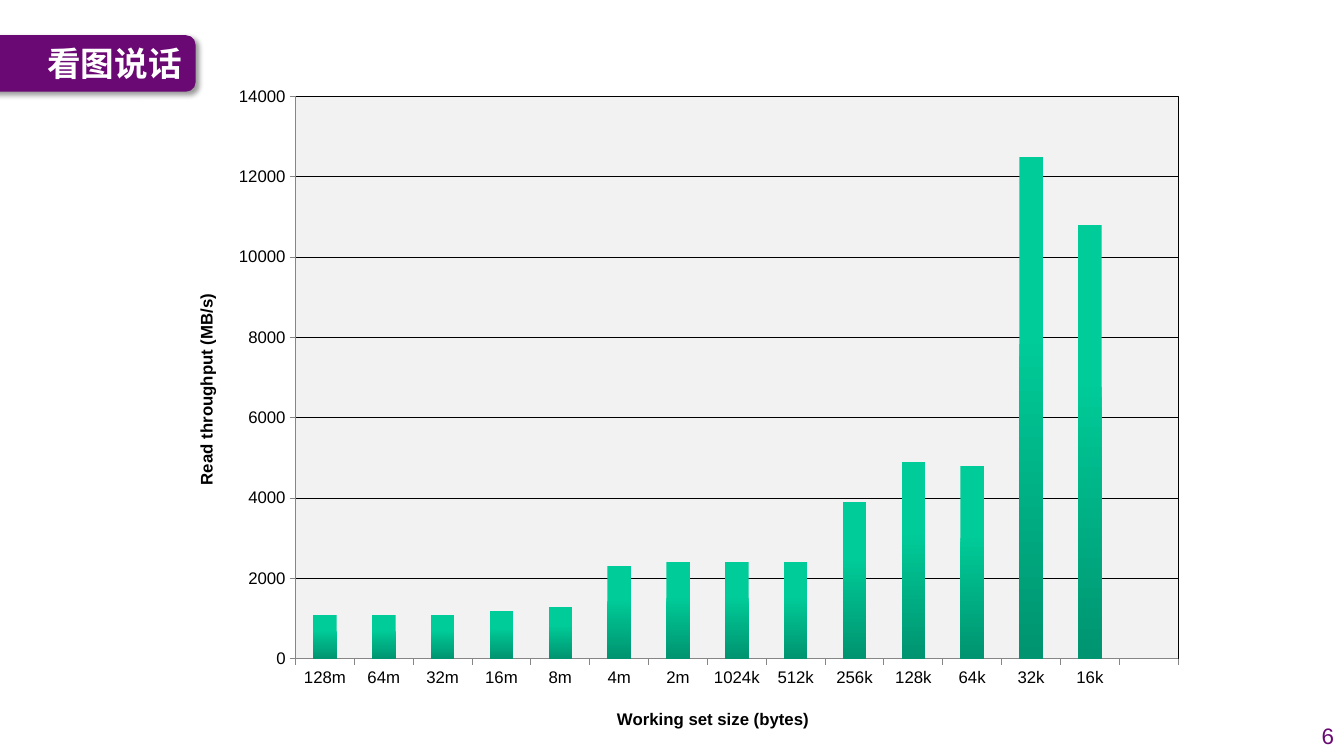
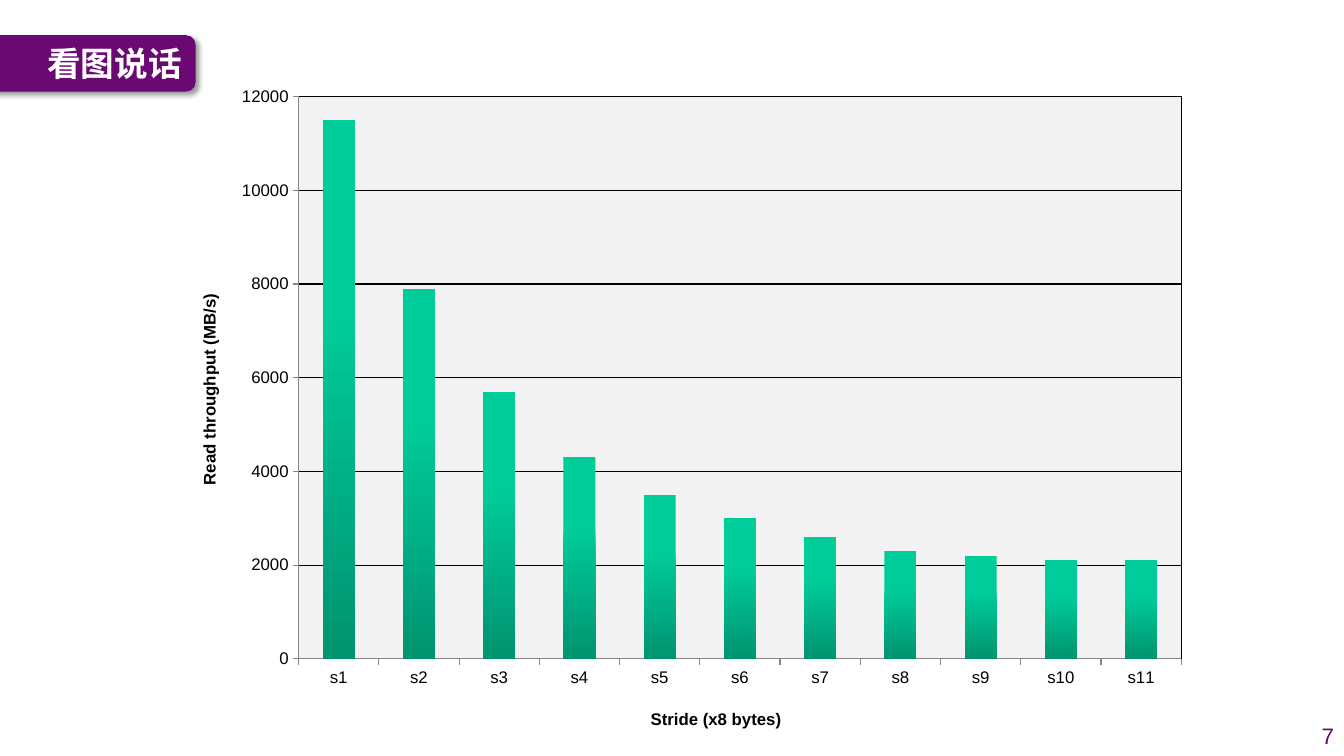
from dataclasses import dataclass

from pptx import Presentation
from pptx.chart.data import CategoryChartData
from pptx.dml.color import RGBColor as RGB
from pptx.enum.chart import XL_CHART_TYPE as ChartType, XL_TICK_MARK as Tick
from pptx.enum.shapes import MSO_SHAPE as Shape
from pptx.enum.text import MSO_ANCHOR as Anchor, PP_ALIGN as Align
from pptx.oxml import parse_xml
from pptx.oxml.ns import nsdecls, qn
from pptx.util import Inches, Pt


@dataclass(frozen=True)
class Theme:
    purple: RGB = RGB(0x6A, 0x08, 0x74)
    white: RGB = RGB(0xFF, 0xFF, 0xFF)
    black: RGB = RGB(0, 0, 0)
    axis: RGB = RGB(0x86, 0x86, 0x86)
    bar_top: RGB = RGB(0x00, 0xCC, 0x99)
    bar_base: RGB = RGB(0x00, 0x94, 0x70)
    font: str = "Arial"
    title_font: str = "Noto Sans CJK SC"
    title_size: Pt = Pt(24)
    number_size: Pt = Pt(16)
    chart_size: Pt = Pt(12)
    line: Pt = Pt(0.75)


T = Theme()
TITLE = "看图说话"
VALUE_TITLE = "Read throughput (MB/s)"

SHADOW = f"""<a:effectLst {nsdecls('a')}>
  <a:outerShdw blurRad="50800" dist="38100" dir="2700000" algn="tl" rotWithShape="0">
    <a:srgbClr val="000000"><a:alpha val="40000"/></a:srgbClr>
  </a:outerShdw></a:effectLst>"""

PLOT_FORMAT = f"""<c:spPr {nsdecls('c', 'a')}>
  <a:solidFill><a:srgbClr val="F2F2F2"/></a:solidFill>
  <a:ln w="9525"><a:solidFill><a:srgbClr val="000000"/></a:solidFill></a:ln>
</c:spPr>"""


def add_text(s, box, text, font, size, color, bold=False, align=Align.LEFT):
    tf = s.shapes.add_textbox(*map(Inches, box)).text_frame
    tf.word_wrap = True
    tf.vertical_anchor = Anchor.MIDDLE
    p = tf.paragraphs[0]
    p.text = text
    p.alignment = align
    r = p.runs[0]
    r.font.name, r.font.size, r.font.bold = font, size, bold
    r.font.color.rgb = color
    # East Asian typeface
    r.font._element.append(parse_xml(f'<a:ea {nsdecls("a")} typeface="{font}"/>'))


def add_title_tab(s, left, top):
    # Tab with its left end beyond the slide edge
    sp = s.shapes.add_shape(Shape.ROUNDED_RECTANGLE, Inches(left - 0.2),
                            Inches(top), Inches(2.14), Inches(0.56))
    sp.fill.solid()
    sp.fill.fore_color.rgb = T.purple
    sp.line.fill.background()
    sp._element.spPr.append(parse_xml(SHADOW))
    add_text(s, (left + 0.37, top, 1.6, 0.55), TITLE, T.title_font,
             T.title_size, T.white, bold=True)


def set_layout(parent, index, x, y, size=None):
    """Give a chart part a fixed place, in fractions of the chart."""
    old = parent.find(qn("c:layout"))
    if old is not None:
        parent.remove(old)
    parts = [("xMode", "edge"), ("yMode", "edge"), ("x", x), ("y", y)]
    if size:
        parts.insert(0, ("layoutTarget", "inner"))
        parts += zip("wh", size)
    body = "".join(f'<c:{tag} val="{val}"/>' for tag, val in parts)
    parent.insert(index, parse_xml(
        f'<c:layout {nsdecls("c")}><c:manualLayout>{body}</c:manualLayout></c:layout>'))


def format_axis(axis, title, x, y):
    axis.major_tick_mark, axis.minor_tick_mark = Tick.OUTSIDE, Tick.NONE
    axis.format.line.color.rgb = T.axis
    axis.tick_labels.font.size = T.chart_size
    axis.tick_labels.font.name = T.font
    tf = axis.axis_title.text_frame
    tf.text = title
    font = tf.paragraphs[0].runs[0].font
    font.name, font.size, font.bold = T.font, T.chart_size, True
    font.color.rgb = T.black
    set_layout(axis.axis_title._element, 1, x, y)


def add_bar_chart(s, box, cats, vals, cat_title, cat_title_x, top_value):
    data = CategoryChartData(number_format="General")
    data.categories = cats
    data.add_series("Series 1", vals)
    chart = s.shapes.add_chart(ChartType.COLUMN_CLUSTERED,
                               *map(Inches, box), data).chart
    chart.has_title = chart.has_legend = False
    chart.font.name, chart.font.size = T.font, Pt(10)
    chart.font.color.rgb = T.black

    # Plot area
    area = chart._chartSpace.find(".//" + qn("c:plotArea"))
    set_layout(area, 0, 0.12, 0.03, (0.86, 0.84))
    area.append(parse_xml(PLOT_FORMAT))

    # Axes
    format_axis(chart.category_axis, cat_title, cat_title_x, 0.94)
    axis = chart.value_axis
    format_axis(axis, VALUE_TITLE, 0.02, 0.32)
    body = axis.axis_title._element.find(".//" + qn("a:bodyPr"))
    body.set("rot", "-5400000")
    body.set("vert", "horz")
    axis.minimum_scale, axis.maximum_scale, axis.major_unit = 0, top_value, 2000
    axis.has_major_gridlines = True
    axis.major_gridlines.format.line.color.rgb = T.black
    axis.major_gridlines.format.line.width = T.line

    # Bars: even at the top, darker towards the base
    plot = chart.plots[0]
    plot.gap_width = 150
    plot.vary_by_categories = False
    fill = plot.series[0].format.fill
    fill.gradient()
    fill.gradient_angle = 270
    stops = ((0.35, T.bar_top), (1, T.bar_base))
    for stop, (position, color) in zip(fill.gradient_stops, stops):
        stop.position = position
        stop.color.rgb = color


def add_chart_slide(prs, number, chart_left, **chart):
    s = prs.slides.add_slide(prs.slide_layouts[6])
    add_title_tab(s, 0, 0.35)
    add_text(s, (12.78, 7.1, 0.55, 0.4), str(number), T.font, T.number_size,
             T.purple, align=Align.RIGHT)
    add_bar_chart(s, (chart_left, 0.76, 10.18, 6.64), **chart)


def main():
    prs = Presentation()
    prs.slide_width, prs.slide_height = Inches(13.33), Inches(7.5)
    # The last category is an empty slot
    add_chart_slide(
        prs, 6, 1.71,
        cats=["128m", "64m", "32m", "16m", "8m", "4m", "2m", "1024k", "512k",
              "256k", "128k", "64k", "32k", "16k", ""],
        vals=[1100, 1100, 1100, 1200, 1300, 2300, 2400, 2400, 2400,
              3900, 4900, 4800, 12500, 10800, None],
        cat_title="Working set size (bytes)", cat_title_x=0.43, top_value=14000)
    add_chart_slide(
        prs, 7, 1.74,
        cats=[f"s{i}" for i in range(1, 12)],
        vals=[11500, 7900, 5700, 4300, 3500, 3000, 2600, 2300, 2200, 2100, 2100],
        cat_title="Stride (x8 bytes)", cat_title_x=0.46, top_value=12000)
    prs.save("out.pptx")


if __name__ == "__main__":
    main()
